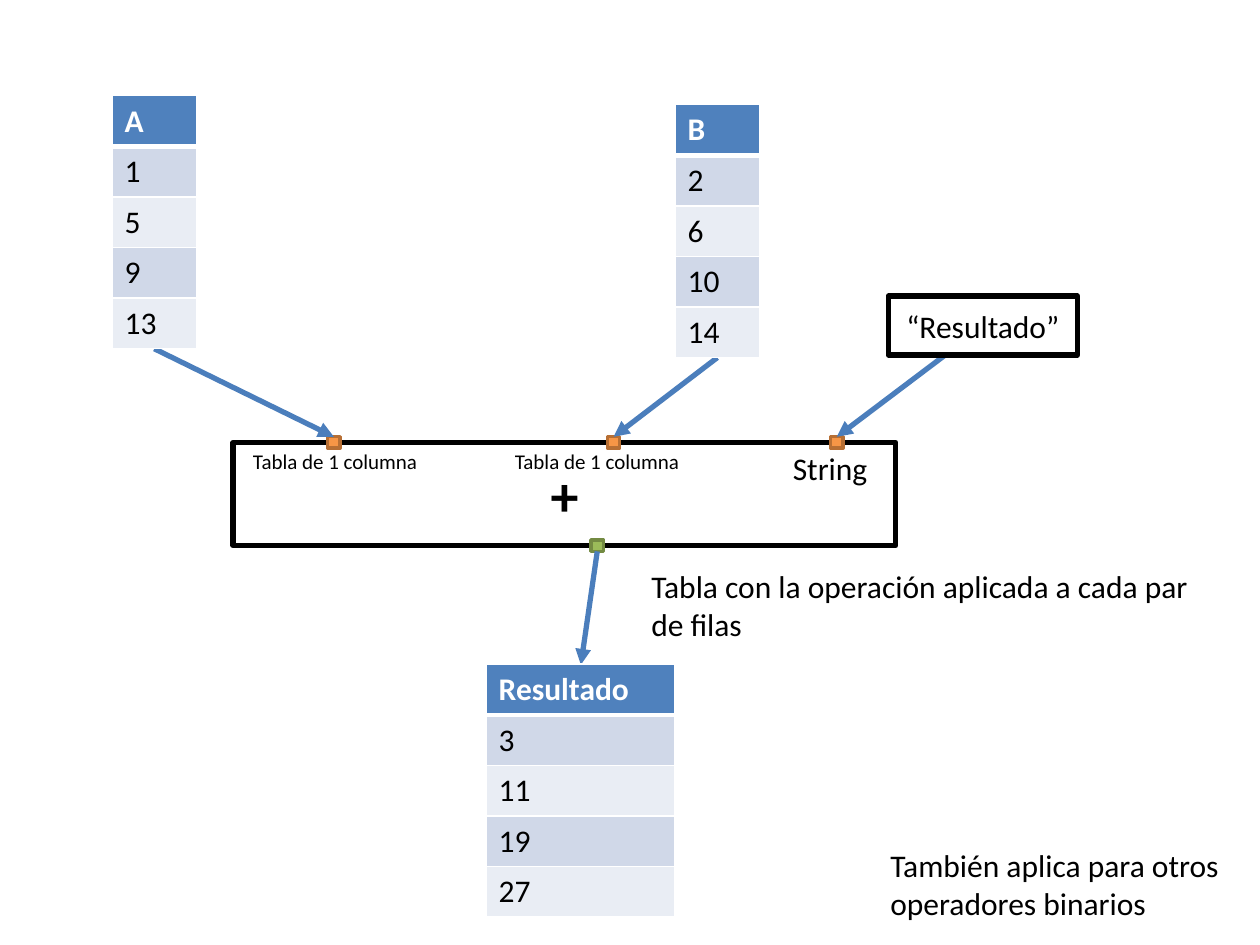
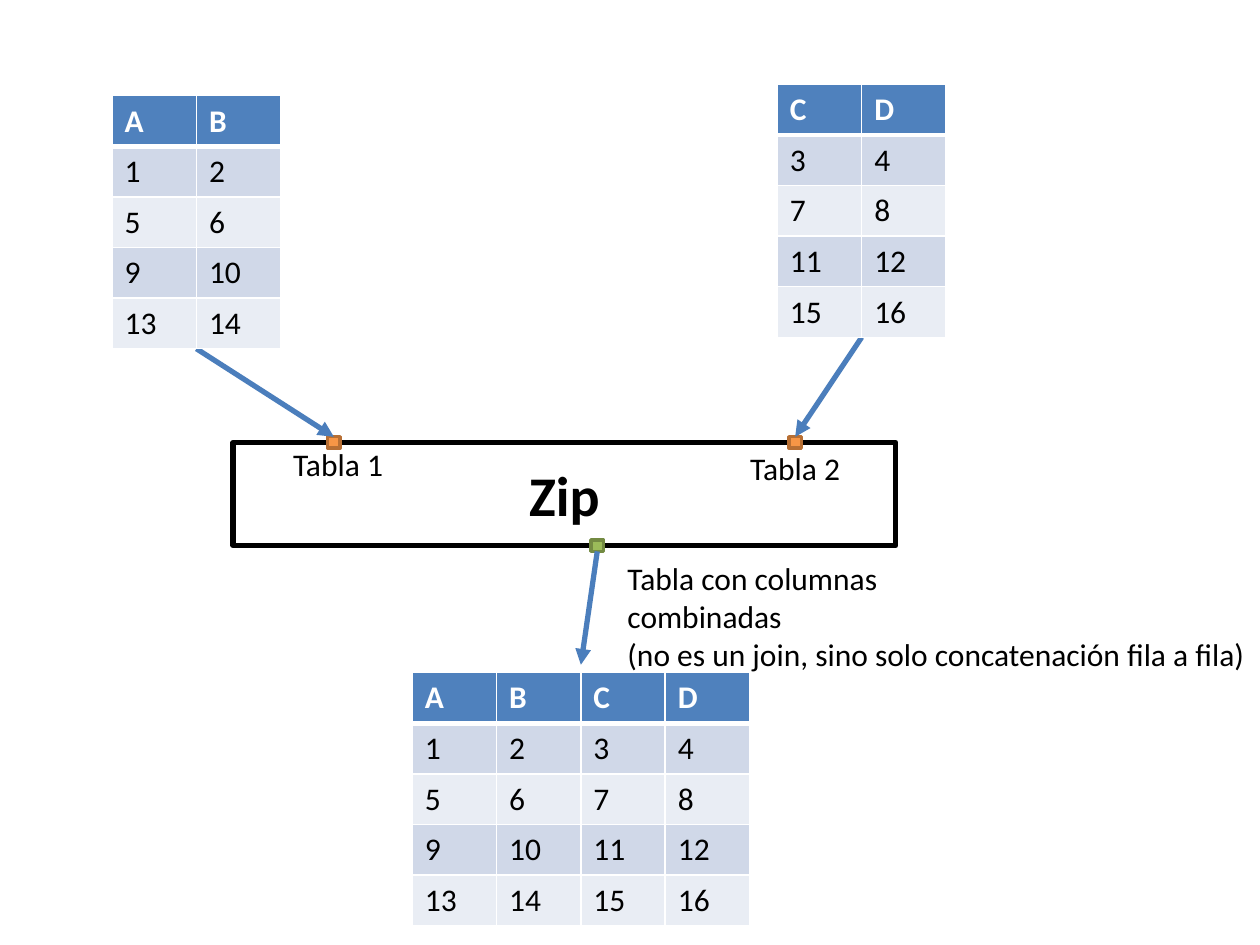
from dataclasses import dataclass

from lxml import etree
from pptx import Presentation
from pptx import util as u
from pptx.dml.color import RGBColor
from pptx.enum import shapes, text
from pptx.oxml import ns

# Shared style
WHITE = RGBColor(0xFF, 0xFF, 0xFF)
BLACK = RGBColor(0x00, 0x00, 0x00)
HEADER = RGBColor(0x4F, 0x81, 0xBD)
BANDS = (RGBColor(0xD0, 0xD8, 0xE8), RGBColor(0xE9, 0xED, 0xF4))
ARROW = RGBColor(0x4B, 0x7E, 0xBC)
INPUT_FILL, INPUT_LINE = RGBColor(0xF7, 0x96, 0x46), RGBColor(0xB7, 0x6F, 0x34)
OUTPUT_FILL, OUTPUT_LINE = RGBColor(0x9B, 0xBB, 0x59), RGBColor(0x73, 0x8A, 0x42)
FONT = "Calibri"

# Shared geometry, in centimetres
ROW_HEIGHT = 1.02
COLUMN_WIDTH = 1.7
PORT_WIDTH, PORT_HEIGHT = 0.25, 0.23
OPERATOR_LEFT, OPERATOR_TOP = 4.7, 8.92
OPERATOR_WIDTH, OPERATOR_HEIGHT = 13.36, 2.08
OUTPUT_X, OUTPUT_Y = 12.04, OPERATOR_TOP + OPERATOR_HEIGHT
RESULT_X, RESULT_Y = 11.71, 13.4


@dataclass
class Box:
    left: float
    top: float
    width: float
    height: float

    def lengths(self) -> tuple:
        return u.Cm(self.left), u.Cm(self.top), u.Cm(self.width), u.Cm(self.height)


@dataclass
class Label:
    words: str
    box: Box
    size: int = 18
    centred: bool = False
    wrap: bool = False


@dataclass
class Grid:
    left: float
    top: float
    rows: list
    column_width: float = COLUMN_WIDTH

    @property
    def width(self) -> float:
        return self.column_width * len(self.rows[0])

    @property
    def height(self) -> float:
        return ROW_HEIGHT * len(self.rows)

    @property
    def foot(self) -> tuple:
        return self.left + self.width / 2, self.top + self.height


def style_text(frame, size: int, color: RGBColor, bold: bool = False,
               centred: bool = False) -> None:
    for paragraph in frame.paragraphs:
        paragraph.alignment = text.PP_ALIGN.CENTER if centred else text.PP_ALIGN.LEFT
        paragraph.font.name = FONT
        paragraph.font.size = u.Pt(size)
        paragraph.font.bold = bold
        paragraph.font.color.rgb = color


def add_rectangle(slide, box: Box, fill: RGBColor, line: RGBColor, line_width: float):
    shape = slide.shapes.add_shape(shapes.MSO_SHAPE.RECTANGLE, *box.lengths())
    shape.shadow.inherit = False
    shape.fill.solid()
    shape.fill.fore_color.rgb = fill
    shape.line.color.rgb = line
    shape.line.width = u.Pt(line_width)
    return shape


def add_framed_text(slide, words: str, box: Box, size: int, bold: bool = False) -> None:
    shape = add_rectangle(slide, box, WHITE, BLACK, 3)
    frame = shape.text_frame
    frame.text = words
    frame.vertical_anchor = text.MSO_ANCHOR.MIDDLE
    style_text(frame, size, BLACK, bold, centred=True)


def add_label(slide, label: Label) -> None:
    frame = slide.shapes.add_textbox(*label.box.lengths()).text_frame
    frame.text = label.words
    frame.word_wrap = label.wrap
    frame.auto_size = text.MSO_AUTO_SIZE.SHAPE_TO_FIT_TEXT
    style_text(frame, label.size, BLACK, centred=label.centred)


def add_port(slide, x: float, y: float, fill: RGBColor, line: RGBColor) -> None:
    box = Box(x - PORT_WIDTH / 2, y - PORT_HEIGHT / 2, PORT_WIDTH, PORT_HEIGHT)
    add_rectangle(slide, box, fill, line, 2)


def add_arrow(slide, start: tuple, end: tuple) -> None:
    connector = slide.shapes.add_connector(
        shapes.MSO_CONNECTOR.STRAIGHT, *(u.Cm(value) for value in start + end))
    connector.line.color.rgb = ARROW
    connector.line.width = u.Pt(3)
    line = connector.line._get_or_add_ln()
    etree.SubElement(line, ns.qn("a:tailEnd"), type="triangle")
    etree.SubElement(connector._element.spPr, ns.qn("a:effectLst"))


def set_borders(cell, top: float, bottom: float) -> None:
    properties = cell._tc.get_or_add_tcPr()
    widths = {"a:lnL": 1, "a:lnR": 1, "a:lnT": top, "a:lnB": bottom}
    for position, (side, width) in enumerate(widths.items()):
        line = etree.Element(ns.qn(side), w=str(u.Pt(width)))
        fill = etree.SubElement(line, ns.qn("a:solidFill"))
        etree.SubElement(fill, ns.qn("a:srgbClr"), val=str(WHITE))
        properties.insert(position, line)


def add_grid(slide, grid: Grid) -> None:
    box = Box(grid.left, grid.top, grid.width, grid.height)
    table = slide.shapes.add_table(
        len(grid.rows), len(grid.rows[0]), *box.lengths()).table
    for column in table.columns:
        column.width = u.Cm(grid.column_width)
    for row_index, values in enumerate(grid.rows):
        table.rows[row_index].height = u.Cm(ROW_HEIGHT)
        is_header = row_index == 0
        for column_index, value in enumerate(values):
            cell = table.cell(row_index, column_index)
            cell.text = str(value)
            cell.fill.solid()
            cell.fill.fore_color.rgb = HEADER if is_header else BANDS[(row_index - 1) % 2]
            set_borders(cell, 3 if row_index == 1 else 1, 3 if is_header else 1)
            style_text(cell.text_frame, 18, WHITE if is_header else BLACK, is_header)


def add_operator_slide(presentation, name: str, labels: list, links: list,
                       grids: list):
    """Draw an operator with its inputs; links pair a start point with a port x."""
    slide = presentation.slides.add_slide(presentation.slide_layouts[6])
    operator = Box(OPERATOR_LEFT, OPERATOR_TOP, OPERATOR_WIDTH, OPERATOR_HEIGHT)
    add_framed_text(slide, name, operator, 32, bold=True)
    for label in labels:
        add_label(slide, label)
    # Ports and arrows
    for start, port_x in links:
        add_port(slide, port_x, OPERATOR_TOP, INPUT_FILL, INPUT_LINE)
        add_arrow(slide, start, (port_x, OPERATOR_TOP - PORT_HEIGHT / 2))
    add_port(slide, OUTPUT_X, OUTPUT_Y, OUTPUT_FILL, OUTPUT_LINE)
    add_arrow(slide, (OUTPUT_X, OUTPUT_Y + PORT_HEIGHT / 2), (RESULT_X, RESULT_Y))
    # Input and result tables
    for grid in grids:
        add_grid(slide, grid)
    return slide


presentation = Presentation()
presentation.slide_width = u.Cm(25.4)
presentation.slide_height = u.Cm(19.05)

# Slide 1: binary operator on two columns
column_a = Grid(2.26, 1.93, [["A"], [1], [5], [9], [13]])
column_b = Grid(13.61, 2.11, [["B"], [2], [6], [10], [14]])
total = Grid(9.8, 13.39, [["Resultado"], [3], [11], [19], [27]], column_width=3.81)
name_box = Box(17.91, 5.97, 3.81, 1.19)
sum_slide = add_operator_slide(
    presentation, "+",
    labels=[
        Label("Tabla de 1 columna", Box(4.85, 8.92, 3.86, 0.76), size=12),
        Label("Tabla de 1 columna", Box(10.13, 8.92, 3.86, 0.76), size=12),
        Label("String", Box(15.72, 8.92, 2.03, 1.02), centred=True),
        Label("Tabla con la operación aplicada a cada par de filas",
              Box(12.88, 11.3, 11.63, 1.8), wrap=True),
        Label("También aplica para otros operadores binarios",
              Box(17.7, 16.94, 7.44, 1.8), wrap=True),
    ],
    links=[(column_a.foot, 6.73), (column_b.foot, 12.37), ((19.05, 7.16), 16.87)],
    grids=[column_a, column_b, total])
add_framed_text(sum_slide, "“Resultado”", name_box, 18)

# Slide 2: zip of two tables
table_ab = Grid(2.26, 1.93, [["A", "B"], [1, 2], [5, 6], [9, 10], [13, 14]])
table_cd = Grid(15.67, 1.7, [["C", "D"], [3, 4], [7, 8], [11, 12], [15, 16]])
zipped = Grid(8.31, 13.56, [first + second for first, second
                            in zip(table_ab.rows, table_cd.rows)])
add_operator_slide(
    presentation, "Zip",
    labels=[
        Label("Tabla 1", Box(5.66, 8.84, 2.34, 1.02)),
        Label("Tabla 2", Box(14.86, 8.92, 2.34, 1.02), centred=True),
        Label("Tabla con columnas\ncombinadas\n"
              "(no es un join, sino solo concatenación fila a fila)",
              Box(12.4, 11.15, 13, 2.57), wrap=True),
    ],
    links=[(table_ab.foot, 6.73), (table_cd.foot, 16.03)],
    grids=[table_ab, table_cd, zipped])

presentation.save("out.pptx")
